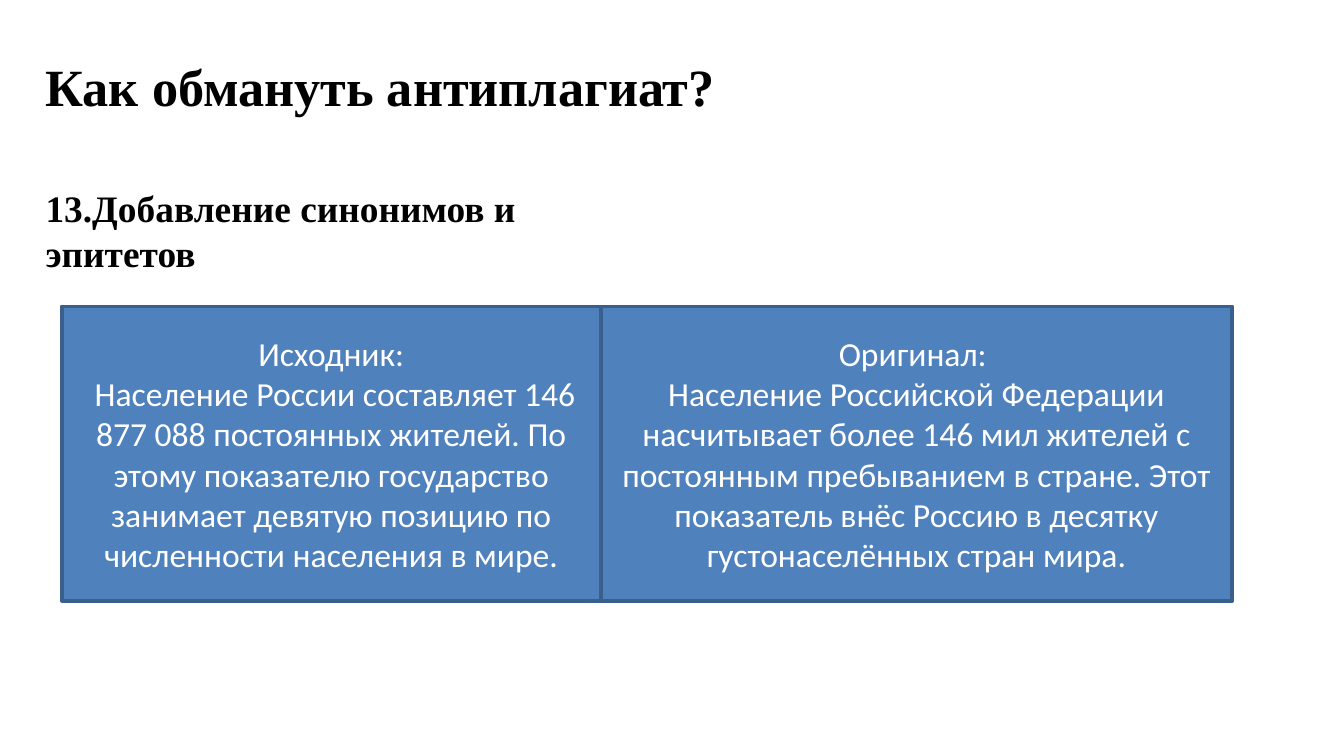
from pptx import Presentation
from pptx.dml.color import RGBColor
from pptx.enum.shapes import MSO_SHAPE
from pptx.enum.text import MSO_ANCHOR, MSO_AUTO_SIZE, PP_ALIGN
from pptx.util import Inches, Pt

COLORS = {"text": "000000", "panel": "4F81BD", "border": "3A5F8C", "panel_text": "FFFFFF"}
HEADING = {"name": "Times New Roman", "bold": True}
BODY = {"name": "Calibri", "size": Pt(18)}

PANELS = [
    (4.01, "Исходник:",
     " Население России составляет 146 877 088 постоянных жителей. По этому показателю "
     "государство занимает девятую позицию по численности населения в мире."),
    (4.7, "Оригинал: ",
     "Население Российской Федерации насчитывает более 146 мил жителей с постоянным "
     "пребыванием в стране. Этот показатель внёс Россию в десятку густонаселённых стран мира."),
]


def color(key):
    return RGBColor.from_string(COLORS[key])


def write(tf, lines, font, color_key, align, anchor, wrap=True):
    tf.word_wrap = wrap
    tf.vertical_anchor = anchor
    for i, line in enumerate(lines):
        p = tf.paragraphs[0] if i == 0 else tf.add_paragraph()
        p.alignment = align
        r = p.add_run()
        r.text = line
        for name, value in font.items():
            setattr(r.font, name, value)
        r.font.color.rgb = color(color_key)


def add_heading(sp, box, text, size, wrap=True):
    sp.left, sp.top, sp.width, sp.height = (Inches(v) for v in box)
    write(sp.text_frame, [text], HEADING | {"size": Pt(size)}, "text",
          PP_ALIGN.LEFT, MSO_ANCHOR.TOP, wrap)
    sp.text_frame.auto_size = MSO_AUTO_SIZE.SHAPE_TO_FIT_TEXT


def add_panels(s, left, top, height):
    """Place the compared texts side by side, edge to edge."""
    for width, label, text in PANELS:
        sp = s.shapes.add_shape(MSO_SHAPE.RECTANGLE, Inches(left), Inches(top),
                                Inches(width), Inches(height))
        sp.shadow.inherit = False
        sp.fill.solid()
        sp.fill.fore_color.rgb = color("panel")
        sp.line.color.rgb = color("border")
        sp.line.width = Pt(2)
        write(sp.text_frame, [label, text], BODY, "panel_text",
              PP_ALIGN.CENTER, MSO_ANCHOR.MIDDLE)
        left += width


def main():
    prs = Presentation()
    prs.slide_width = Inches(10)
    prs.slide_height = prs.slide_width * 9 // 16
    s = prs.slides.add_slide(prs.slide_layouts[5])
    add_heading(s.shapes.title, (0.24, 0.35, 9.52, 0.57), "Как обмануть антиплагиат?", 28)
    subtitle = s.shapes.add_textbox(0, 0, 0, 0)
    add_heading(subtitle, (0.24, 1.33, 4.88, 0.44), "13.Добавление синонимов и эпитетов",
                20, wrap=False)
    add_panels(s, 0.46, 2.28, 2.19)
    prs.save("out.pptx")


if __name__ == "__main__":
    main()
